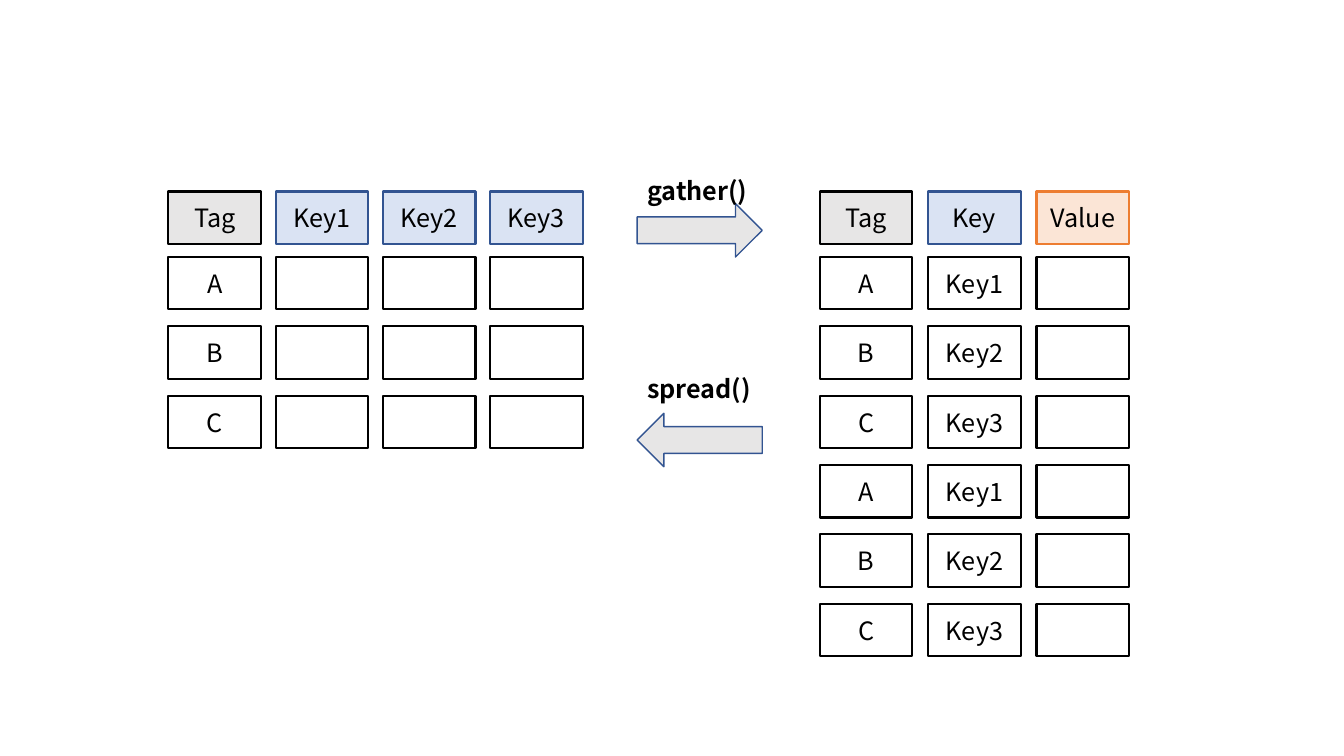
from dataclasses import dataclass

from pptx import Presentation
from pptx.dml.color import RGBColor
from pptx.enum.shapes import MSO_SHAPE
from pptx.enum.text import MSO_ANCHOR, PP_ALIGN
from pptx.util import Inches, Pt


@dataclass(frozen=True)
class Theme:
    """Colours, font and sizes of the slide."""
    font: str = "Noto Sans CJK JP"
    text_size: int = 18
    cell_line: float = 1.5
    arrow_line: float = 1
    black: str = "000000"
    white: str = "FFFFFF"
    grey: str = "E7E6E6"
    blue: str = "325491"
    pale_blue: str = "DAE3F3"
    orange: str = "ED7D31"
    pale_orange: str = "FBE5D6"


THEME = Theme()
TAG_STYLE = (THEME.grey, THEME.black)
KEY_STYLE = (THEME.pale_blue, THEME.blue)
VALUE_STYLE = (THEME.pale_orange, THEME.orange)
BODY_STYLE = (THEME.white, THEME.black)

CELL_WIDTH, CELL_HEIGHT = 0.92, 0.52
HEADER_TOP = 1.9
FIRST_ROW_TOP, LAST_ROW_TOP, MOST_ROWS = 2.55, 5.99, 6
ROW_PITCH = (LAST_ROW_TOP - FIRST_ROW_TOP) / (MOST_ROWS - 1)
ARROW_LEFT, ARROW_WIDTH, ARROW_HEIGHT = 6.32, 1.24, 0.53


def add_span(para, text, bold=False):
    """Add one formatted run to a paragraph."""
    span = para.add_run()
    span.text = text
    span.font.name = THEME.font
    span.font.size = Pt(THEME.text_size)
    span.font.bold = bold
    span.font.color.rgb = RGBColor.from_string(THEME.black)


def add_outlined(page, preset, bounds, style, line_width):
    """Add a filled and outlined preset shape without a shadow."""
    shape = page.shapes.add_shape(preset, *map(Inches, bounds))
    fill, line = style
    shape.shadow.inherit = False
    shape.fill.solid()
    shape.fill.fore_color.rgb = RGBColor.from_string(fill)
    shape.line.color.rgb = RGBColor.from_string(line)
    shape.line.width = Pt(line_width)
    return shape


def add_cell(page, left, top, text, style):
    """Add one cell, with centred text if it has any."""
    bounds = (left, top, CELL_WIDTH, CELL_HEIGHT)
    box = add_outlined(page, MSO_SHAPE.RECTANGLE, bounds, style, THEME.cell_line)
    if text:
        frame = box.text_frame
        frame.margin_left = frame.margin_right = Inches(0.05)
        frame.vertical_anchor = MSO_ANCHOR.MIDDLE
        para = frame.paragraphs[0]
        para.alignment = PP_ALIGN.CENTER
        add_span(para, text)


def add_grid(page, first_left, last_left, headers, rows):
    """Add a header row and body rows of separate, evenly spaced cells."""
    pitch = (last_left - first_left) / (len(headers) - 1)
    lefts = [first_left + column * pitch for column in range(len(headers))]
    for left, (text, style) in zip(lefts, headers):
        add_cell(page, left, HEADER_TOP, text, style)
    for index, row in enumerate(rows):
        for left, text in zip(lefts, row):
            add_cell(page, left, FIRST_ROW_TOP + index * ROW_PITCH, text, BODY_STYLE)


def add_function(page, name, label_top, arrow_top, rotation=0):
    """Add a function name and its block arrow."""
    bounds = (ARROW_LEFT, arrow_top, ARROW_WIDTH, ARROW_HEIGHT)
    arrow = add_outlined(page, MSO_SHAPE.RIGHT_ARROW, bounds,
                         (THEME.grey, THEME.blue), THEME.arrow_line)
    arrow.rotation = rotation
    bounds = (ARROW_LEFT, label_top, ARROW_WIDTH, 0.4)
    box = page.shapes.add_textbox(*map(Inches, bounds))
    box.text_frame.word_wrap = False
    para = box.text_frame.paragraphs[0]
    para.alignment = PP_ALIGN.LEFT
    add_span(para, name, bold=True)


def main():
    """Build the slide and save the deck."""
    deck = Presentation()
    deck.slide_width, deck.slide_height = Inches(13.33), Inches(7.5)
    page = deck.slides.add_slide(deck.slide_layouts[6])

    tags = ["A", "B", "C"]
    keys = ["Key1", "Key2", "Key3"]
    wide_headers = [("Tag", TAG_STYLE)] + [(key, KEY_STYLE) for key in keys]
    long_headers = [("Tag", TAG_STYLE), ("Key", KEY_STYLE), ("Value", VALUE_STYLE)]
    add_grid(page, 1.67, 4.86, wide_headers, [(tag, "", "", "") for tag in tags])
    add_grid(page, 8.13, 10.28, long_headers,
             [(tag, key, "") for tag, key in zip(tags * 2, keys * 2)])

    add_function(page, "gather()", 1.69, 2.02)
    add_function(page, "spread()", 3.65, 4.1, rotation=180)
    deck.save("out.pptx")


main()
